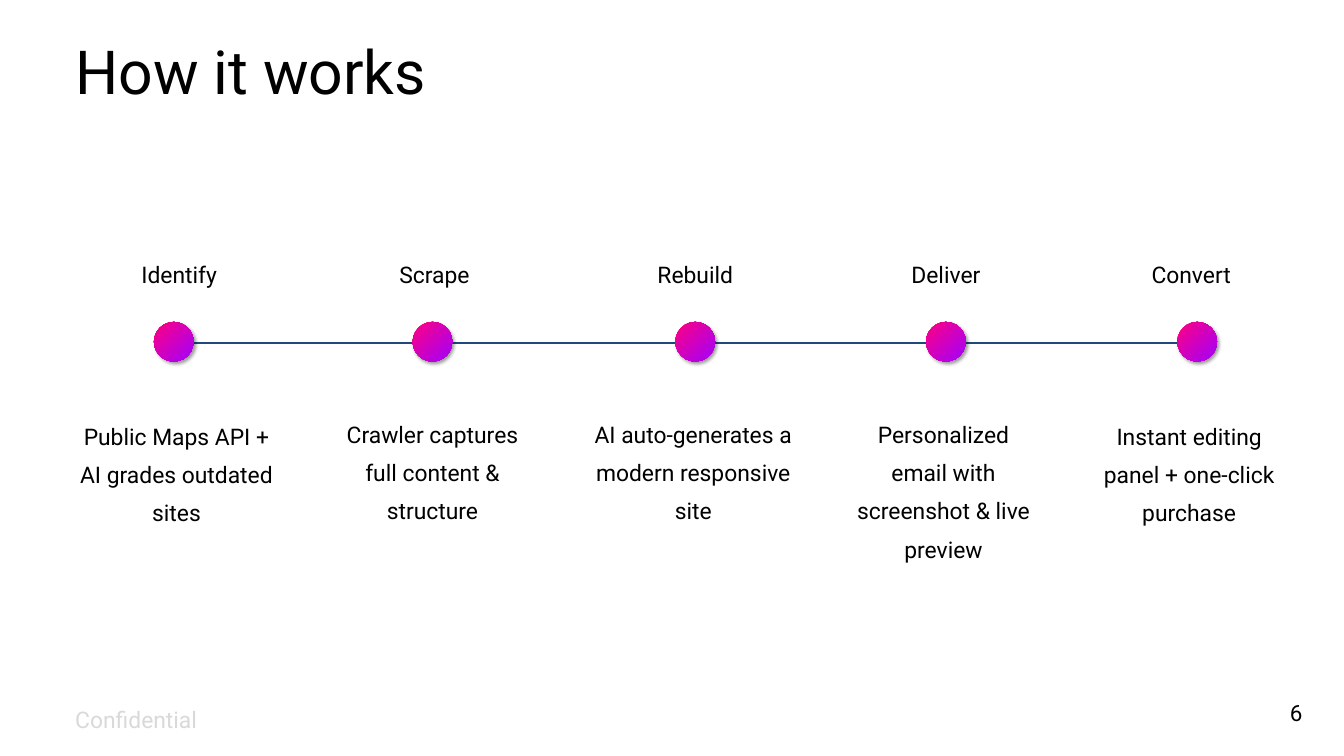
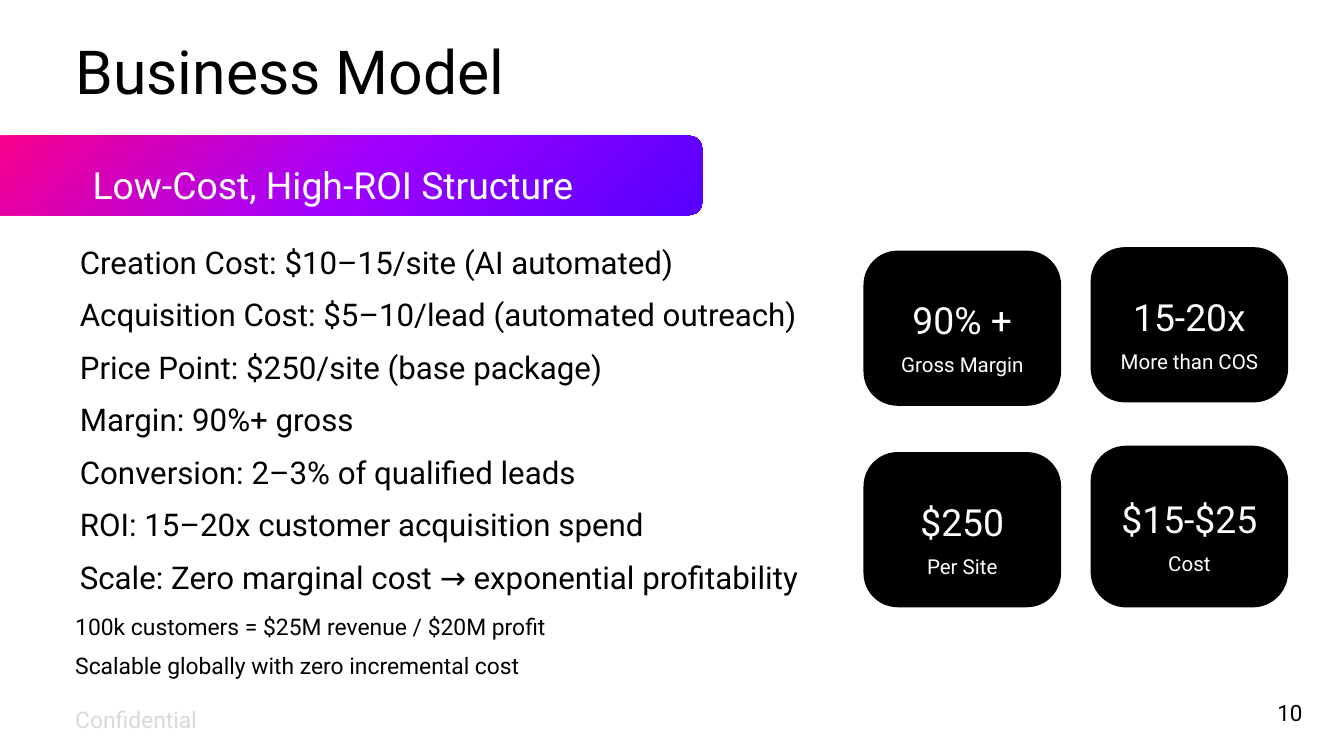
"""Builds two pitch slides: a five-step timeline and a business model."""
from copy import deepcopy
from dataclasses import dataclass

from lxml import etree
from pptx import Presentation
from pptx import util as u
from pptx.dml.color import RGBColor
from pptx.enum import shapes, text
from pptx.oxml import ns


@dataclass(frozen=True)
class Theme:
    """Colours, type sizes and spacing of the deck."""
    font: str = "Roboto"
    ink: str = "000000"
    pale: str = "FFFFFF"
    faint: str = "D9D9D9"
    rule: str = "1F497D"
    pink: str = "FF0080"
    plum: str = "A200FE"
    blue: str = "5500FF"
    head: float = 65
    big: float = 40
    list: float = 33.5
    base: float = 24.5
    page: float = 24
    small: float = 22
    lead: float = 1.4


T = Theme()
WIDE, HIGH = u.Inches(20), u.Inches(11.25)
COL, ROW = WIDE / 100, HIGH / 100
LEFT, MID, RIGHT = text.PP_ALIGN.LEFT, text.PP_ALIGN.CENTER, text.PP_ALIGN.RIGHT
OVAL, ROUND = shapes.MSO_SHAPE.OVAL, shapes.MSO_SHAPE.ROUNDED_RECTANGLE


def place(item, x, y, w, h):
    """Set an item on the grid of 100 columns and 100 rows."""
    spots = {"left": x * COL, "top": y * ROW, "width": w * COL, "height": h * ROW}
    for name, value in spots.items():
        setattr(item, name, int(value))
    return item


def write(item, lines, sizes, color=T.ink, align=LEFT, pad=0, lead=T.lead, mid=False):
    """Fill an item with lines of text, one size for each line."""
    frame = item.text_frame
    looks = {
        "word_wrap": True,
        "auto_size": text.MSO_AUTO_SIZE.NONE if mid else text.MSO_AUTO_SIZE.SHAPE_TO_FIT_TEXT,
        "vertical_anchor": text.MSO_ANCHOR.MIDDLE if mid else text.MSO_ANCHOR.TOP,
    }
    looks |= {f"margin_{side}": int(pad * COL) for side in ("left", "top", "right", "bottom")}
    for name, value in looks.items():
        setattr(frame, name, value)
    frame.text = "\n".join(lines)
    for para, size in zip(frame.paragraphs, sizes):
        para.alignment, para.line_spacing = align, lead
        for name, value in {"name": T.font, "size": u.Pt(size)}.items():
            setattr(para.runs[0].font, name, value)
        para.runs[0].font.color.rgb = RGBColor.from_string(color)


deck = Presentation()
deck.slide_width, deck.slide_height = WIDE, HIGH

pages = []
for title, page in (("How it works", "6"), ("Business Model", "10")):
    slide = deck.slides.add_slide(deck.slide_layouts[5])
    head = place(slide.shapes.title, 5.6, 4.9, 51.65, 9.5)
    write(head, [title], [T.head], lead=0.98)
    foot = place(slide.shapes.add_textbox(0, 0, 0, 0), 5.6, 91.9, 23.85, 3.65)
    write(foot, ["Confidential"], [T.base], T.faint)
    num = place(slide.shapes.add_textbox(0, 0, 0, 0), 91.7, 90.1, 5.7, 6.85)
    write(num, [page], [T.page], align=RIGHT, pad=0.5)
    pages.append(slide.shapes)
flow, model = pages

line = place(flow.add_connector(shapes.MSO_CONNECTOR.STRAIGHT, 0, 0, 0, 0), 12.95, 45.33, 76.6, 0)
line.line.width = u.Pt(2)
line.line.color.rgb = RGBColor.from_string(T.rule)
etree.SubElement(line._element.spPr, ns.qn("a:effectLst"))

steps = (
    ("Identify", "Public Maps API + AI grades outdated sites", 12.93, 13.33, 13.13, 15.05, 54.4),
    ("Scrape", "Crawler captures full content & structure", 32.18, 32.33, 32.18, 15.05, 54.13),
    ("Rebuild", "AI auto-generates a modern responsive site", 51.73, 51.73, 51.58, 15.85, 54.13),
    ("Deliver", "Personalized email with screenshot & live preview", 70.38, 70.38, 70.2, 14.1, 54.13),
    ("Convert", "Instant editing panel + one-click purchase", 89.08, 88.63, 88.48, 15.05, 54.4),
)
glows = []
for name, note, dot_x, name_x, note_x, wide, top in steps:
    label = place(flow.add_textbox(0, 0, 0, 0), name_x - 6, 32.2, 12, 5.4)
    write(label, [name], [T.base], align=MID, pad=0.5)
    body = place(flow.add_textbox(0, 0, 0, 0), note_x - wide / 2, top, wide, 14)
    write(body, [note], [T.base], align=MID)
    dot = place(flow.add_shape(OVAL, 0, 0, 1, 1), dot_x - 1.48, 42.58, 2.95, 5.24)
    dot.line.fill.background()
    dot.shadow.inherit = False
    shade = etree.SubElement(
        dot._element.spPr.find(ns.qn("a:effectLst")), ns.qn("a:outerShdw"),
        blurRad=str(u.Pt(4)), dist=str(u.Pt(3)), dir="2700000", algn="ctr", rotWithShape="0")
    tint = etree.SubElement(shade, ns.qn("a:srgbClr"), val=T.ink)
    etree.SubElement(tint, ns.qn("a:alpha"), val="40000")
    glows.append((dot, ((0, T.pink), (1, T.plum))))

costs = (
    "Creation Cost: $10–15/site (AI automated)",
    "Acquisition Cost: $5–10/lead (automated outreach)",
    "Price Point: $250/site (base package)",
    "Margin: 90%+ gross",
    "Conversion: 2–3% of qualified leads",
    "ROI: 15–20x customer acquisition spend",
    "Scale: Zero marginal cost → exponential profitability",
)
facts = place(model.add_textbox(0, 0, 0, 0), 5.45, 29.25, 56.65, 48.9)
write(facts, costs, [T.list] * len(costs), pad=0.5)
goals = ("100k customers = $25M revenue / $20M profit", "Scalable globally with zero incremental cost")
sums = place(model.add_textbox(0, 0, 0, 0), 5.6, 79.65, 36.15, 8.8)
write(sums, goals, [T.base] * len(goals))

band = place(model.add_shape(ROUND, 0, 0, 1, 1), -2.7, 17.96, 54.95, 10.5)
band.line.fill.background()
band.shadow.inherit = False
write(band, ["Low-Cost, High-ROI Structure"], [T.big], T.pale, MID, 0.4, mid=True)
glows.append((band, ((0, T.pink), (0.52, T.plum), (1, T.blue))))

cards = (
    ("90% +", "Gross Margin", 64.25, 33.15, 20.53),
    ("15-20x", "More than COS", 81.15, 32.7, 20.53),
    ("$250", "Per Site", 64.25, 59.8, 20.53),
    ("$15-$25", "Cost", 81.15, 58.95, 21.4),
)
for sum_, name, x, y, high in cards:
    card = place(model.add_shape(ROUND, 0, 0, 1, 1), x, y, 14.7, high)
    card.adjustments[0] = 0.22
    card.fill.solid()
    card.fill.fore_color.rgb = RGBColor.from_string(T.ink)
    card.line.fill.background()
    card.shadow.inherit = False
    write(card, [sum_, name], [T.big, T.small], T.pale, MID, 0.3, mid=True)

for item, stops in glows:
    item.fill.gradient()
    item.fill.gradient_angle = 315
    ramp = item._element.spPr.find(".//" + ns.qn("a:gsLst"))
    while len(ramp) < len(stops):
        ramp.append(deepcopy(ramp[-1]))
    for stop, (spot, color) in zip(item.fill.gradient_stops, stops):
        stop.position = spot
        stop.color.rgb = RGBColor.from_string(color)

deck.save("out.pptx")
